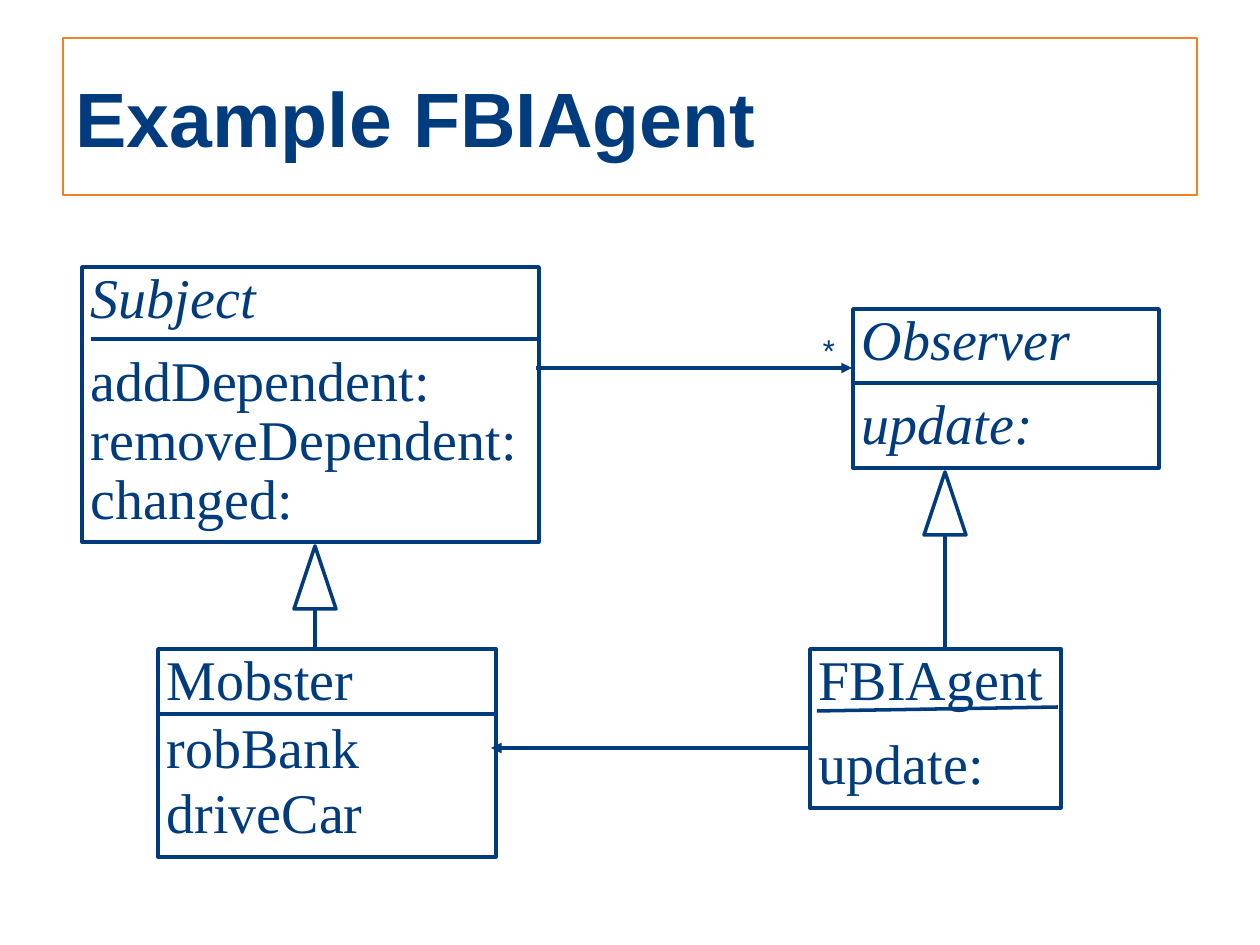
from lxml.etree import SubElement
from pptx import Presentation
from pptx.dml.color import RGBColor
from pptx.enum.shapes import MSO_CONNECTOR, MSO_SHAPE
from pptx.enum.text import MSO_ANCHOR, PP_ALIGN
from pptx.oxml.ns import qn
from pptx.util import Inches, Pt

PX = Inches(1) / 126
NAVY = "003C7D"
ORANGE = "F47F24"
SERIF = "Times New Roman"


def px(*values):
    """Turn pixel lengths into EMU."""
    return [round(v * PX) for v in values]


def color(value):
    """Turn a hex string into a colour."""
    return RGBColor.from_string(value)


def set_line(sp, value=NAVY, width=2):
    """Set the colour and width of an outline or a line."""
    sp.line.color.rgb = color(value)
    sp.line.width = Pt(width)


def add_text(p, text, size=32, font=SERIF, bold=False, italic=False, spacing=None, before=None):
    """Write one formatted run into a paragraph."""
    p.alignment = PP_ALIGN.LEFT
    if spacing is not None:
        p.line_spacing = spacing
    if before is not None:
        p.space_before = Pt(before)
    r = p.add_run()
    r.text = text
    r.font.size = Pt(size)
    r.font.name = font
    r.font.bold = bold
    r.font.italic = italic
    r.font.color.rgb = color(NAVY)


def add_outline(s, kind, box):
    """Add an unfilled preset shape with a navy outline."""
    sp = s.shapes.add_shape(kind, *px(*box))
    sp.shadow.inherit = False
    sp.fill.background()
    set_line(sp)
    return sp


def add_line(s, x1, y1, x2, y2, arrow=False):
    """Add a straight line, with an arrowhead at its end if asked."""
    c = s.shapes.add_connector(MSO_CONNECTOR.STRAIGHT, *px(x1, y1, x2, y2))
    set_line(c)
    if arrow:
        SubElement(c.line._get_or_add_ln(), qn("a:tailEnd"), type="triangle")
    SubElement(c._element.spPr, qn("a:effectLst"))


def add_title(s, box, text):
    """Place the framed slide title."""
    sp = s.shapes.title
    sp.left, sp.top, sp.width, sp.height = px(*box)
    set_line(sp, ORANGE, 1)
    tf = sp.text_frame
    tf.vertical_anchor = MSO_ANCHOR.MIDDLE
    add_text(tf.paragraphs[0], text, size=44, font="Arial", bold=True)


def add_class(s, box, rows, divider):
    """Draw a class box with rows of (text, italic, spacing) and a relative divider."""
    x, y = box[:2]
    tf = add_outline(s, MSO_SHAPE.RECTANGLE, box).text_frame
    tf.word_wrap = True
    tf.vertical_anchor = MSO_ANCHOR.TOP
    tf.margin_left = tf.margin_right = Inches(0.07)
    tf.margin_top = tf.margin_bottom = Inches(0.03)
    for i, (text, italic, spacing) in enumerate(rows):
        p = tf.add_paragraph() if i else tf.paragraphs[0]
        add_text(p, text, italic=italic, spacing=spacing, before=14)
    x1, y1, x2, y2 = divider
    add_line(s, x + x1, y + y1, x + x2, y + y2)


def add_inheritance(s, x, top, bottom):
    """Draw a hollow triangle pointing up at x and its stem."""
    width, height = 42, 63
    add_line(s, x, top + height, x, bottom)
    add_outline(s, MSO_SHAPE.ISOSCELES_TRIANGLE, (x - width // 2, top, width, height))


def add_multiplicity(s, box, text):
    """Label the end of an association."""
    tf = s.shapes.add_textbox(*px(*box)).text_frame
    tf.word_wrap = False
    add_text(tf.paragraphs[0], text, size=18, font="Arial", italic=True)


def main():
    """Build the class diagram slide."""
    prs = Presentation()
    prs.slide_width, prs.slide_height = Inches(10), Inches(7.5)
    s = prs.slides.add_slide(prs.slide_layouts[5])
    add_title(s, (63, 38, 1134, 157), "Example FBIAgent")
    add_class(s, (853, 309, 306, 159),
              [("Observer", True, 0.89), ("update:", True, 0.89)], (2, 74, 304, 74))
    add_class(s, (82, 267, 457, 275),
              [("Subject", True, 0.88),
               ("addDependent: removeDependent: changed:", False, 0.88)], (9, 72, 457, 72))
    add_class(s, (158, 649, 338, 208),
              [("Mobster", False, 0.88), ("robBank", False, 0.6), ("driveCar", False, 0.6)],
              (0, 65, 336, 65))
    add_class(s, (810, 649, 251, 159),
              [("FBIAgent", False, 0.89), ("update:", False, 0.89)], (7, 62, 248, 58))
    add_line(s, 536, 368, 852, 368, arrow=True)
    add_line(s, 810, 748, 491, 748, arrow=True)
    add_inheritance(s, 945, 472, 651)
    add_inheritance(s, 315, 546, 651)
    add_multiplicity(s, (809, 325, 42, 63), "*")
    prs.save("out.pptx")


if __name__ == "__main__":
    main()
